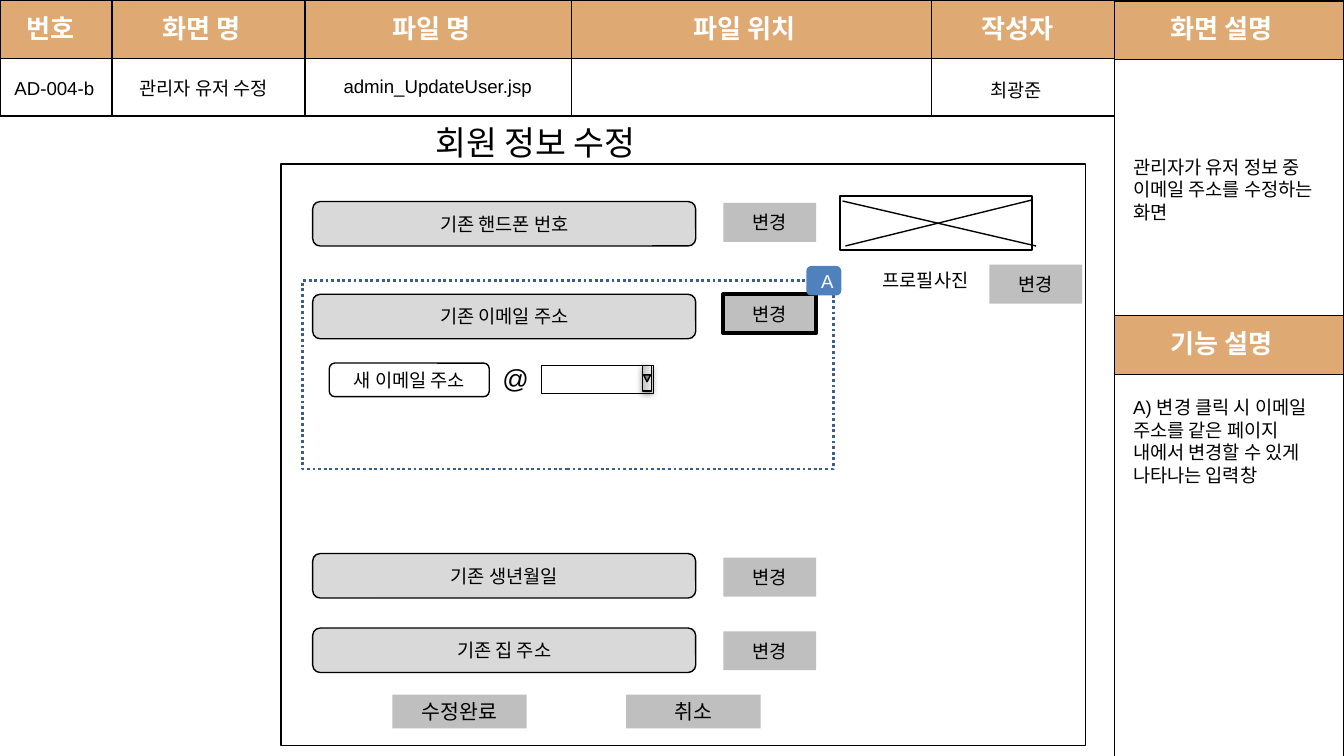
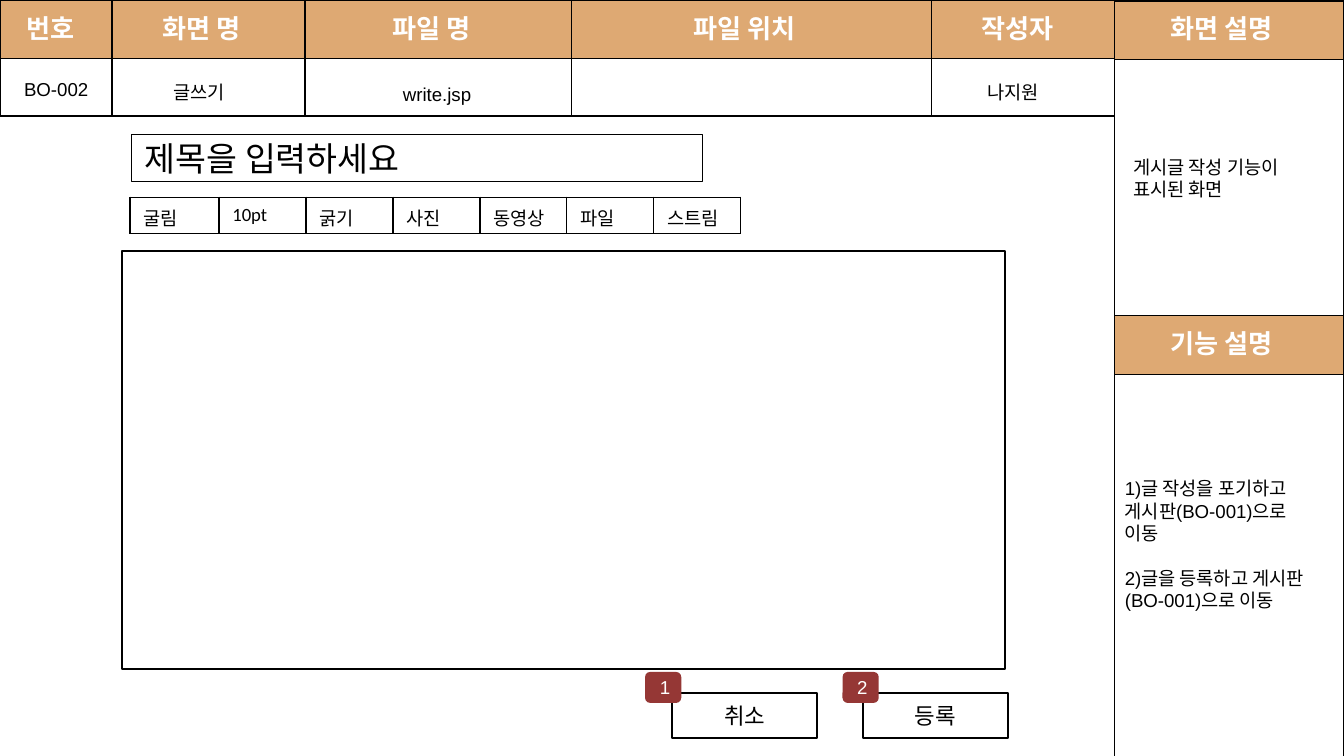
from lxml import etree
from pptx import Presentation
from pptx.dml.color import RGBColor
from pptx.enum.dml import MSO_LINE
from pptx.enum.shapes import MSO_CONNECTOR, MSO_SHAPE
from pptx.enum.text import MSO_ANCHOR, MSO_AUTO_SIZE, PP_ALIGN
from pptx.oxml import parse_xml
from pptx.oxml.ns import qn
from pptx.util import Pt

RECT = MSO_SHAPE.RECTANGLE
ROUND = MSO_SHAPE.ROUNDED_RECTANGLE
NEXT_BUTTON = MSO_SHAPE.ACTION_BUTTON_FORWARD_OR_NEXT
STRAIGHT = MSO_CONNECTOR.STRAIGHT
DOTTED = MSO_LINE.ROUND_DOT
LEFT, CENTER = PP_ALIGN.LEFT, PP_ALIGN.CENTER
TOP, MIDDLE = MSO_ANCHOR.TOP, MSO_ANCHOR.MIDDLE
GROW = MSO_AUTO_SIZE.SHAPE_TO_FIT_TEXT

COLORS = {
    "black": "000000", "white": "FFFFFF", "band": "DEA973",
    "field": "D9D9D9", "button": "BFBFBF", "dotted": "3A5F8C",
    "blue": "4F81BD", "red": "953735",
}
W, H = 720, 405
SIDE_X = 597
BAND_H = 31.3
HEAD_H = 62.2
FUNCTION_Y = 169.2
COLUMNS = [0, 60, 163.5, 306, 499, SIDE_X]
HEADINGS = [("번호", 14.4, 30.2), ("화면 명", 87.1, 48.2),
            ("파일 명", 210.2, 48.2), ("작성자", 525.6, 44)]
HEADER = {"size": 14, "font": "Noto Sans CJK KR", "color": "white", "bold": True}
NOTE = {"size": 10, "font": "Arial", "color": "black"}
LABEL = {"size": 10, "font": "Calibri", "color": "black"}
BIG = {**LABEL, "size": 18}
BADGE = {**NOTE, "color": "white"}
A_NS = "http://schemas.openxmlformats.org/drawingml/2006/main"
GRADIENT = (f'<a:gradFill xmlns:a="{A_NS}" rotWithShape="1"><a:gsLst>'
            '<a:gs pos="0"><a:srgbClr val="BDBDBD"/></a:gs>'
            '<a:gs pos="35000"><a:srgbClr val="D1D1D1"/></a:gs>'
            '<a:gs pos="100000"><a:srgbClr val="EEEEEE"/></a:gs>'
            '</a:gsLst><a:lin ang="16200000" scaled="1"/></a:gradFill>')
SHADOW = (f'<a:effectLst xmlns:a="{A_NS}">'
          '<a:outerShdw blurRad="40000" dist="20000" dir="5400000" rotWithShape="0">'
          '<a:srgbClr val="000000"><a:alpha val="38000"/></a:srgbClr>'
          '</a:outerShdw></a:effectLst>')


def rgb(name):
    return RGBColor.from_string(COLORS[name])


def pts(*values):
    return [Pt(v) for v in values]


def write(tf, texts, fmt, align=LEFT, gap=0):
    for i, text in enumerate(texts):
        p = tf.paragraphs[0] if i == 0 else tf.add_paragraph()
        p.alignment = align
        if i:
            p.space_before = Pt(gap)
        r = p.add_run()
        r.text = text
        values = {"size": Pt(fmt["size"]), "name": fmt["font"],
                  "bold": fmt.get("bold", False)}
        for key, value in values.items():
            setattr(r.font, key, value)
        r.font.color.rgb = rgb(fmt["color"])


def set_frame(tf, insets=None, anchor=TOP, grow=False):
    tf.word_wrap = True
    tf.vertical_anchor = anchor
    if grow:
        tf.auto_size = GROW
    if insets:
        for side, value in zip(("left", "top", "right", "bottom"), insets):
            setattr(tf, "margin_" + side, Pt(value))


def paint(sp, fill=None, line=None, weight=0.75):
    sp.shadow.inherit = False
    if fill:
        sp.fill.solid()
        sp.fill.fore_color.rgb = rgb(fill)
    else:
        sp.fill.background()
    if line:
        sp.line.color.rgb = rgb(line)
        sp.line.width = Pt(weight)
    else:
        sp.line.fill.background()


def add_box(s, kind, x, y, w, h, fill=None, line=None, weight=0.75,
            text=None, fmt=LABEL, align=CENTER):
    sp = s.shapes.add_shape(kind, *pts(x, y, w, h))
    paint(sp, fill, line, weight)
    if text:
        set_frame(sp.text_frame, anchor=MIDDLE)
        write(sp.text_frame, [text], fmt, align)
    return sp


def add_text(s, x, y, w, h, texts, fmt=NOTE, insets=None, gap=0):
    tf = s.shapes.add_textbox(*pts(x, y, w, h)).text_frame
    set_frame(tf, insets, grow=True)
    write(tf, texts, fmt, gap=gap)


def add_outline(s, contours, close=False, **look):
    builder = None
    for contour in contours:
        first, *rest = [tuple(pts(*point)) for point in contour]
        if builder is None:
            builder = s.shapes.build_freeform(*first)
        else:
            builder.move_to(*first)
        builder.add_line_segments(rest, close=close)
    paint(builder.convert_to_shape(), **look)


def add_line(s, x1, y1, x2, y2):
    c = s.shapes.add_connector(STRAIGHT, *pts(x1, y1, x2, y2))
    c.line.color.rgb = rgb("black")
    c.line.width = Pt(0.75)
    etree.SubElement(c.element.spPr, qn("a:effectLst"))


def band(x, y, w):
    return [(x, y), (x + w, y), (x + w, y + BAND_H), (x, y + BAND_H)]


def add_header(s, title_w, cells):
    add_outline(s, [band(0, 0.5, SIDE_X)], True, fill="band")
    add_outline(s, [[(x, 0), (x, HEAD_H)] for x in COLUMNS], line="black")
    add_outline(s, [[(0, y), (SIDE_X, y)] for y in (0.4, BAND_H, HEAD_H)], line="black")
    for text, x, w in HEADINGS:
        add_text(s, x, 5.8, w, 16.6, [text], HEADER, (0, 1, 0, 0))
    title = s.shapes.title
    s.shapes.element.append(title.element)
    title.left, title.top, title.width, title.height = pts(286.6, 5.8, title_w, 16.6)
    set_frame(title.text_frame, (0, 1, 0, 0), grow=True)
    write(title.text_frame, ["파일 위치"], HEADER)
    pPr = title.text_frame.paragraphs[0]._p.get_or_add_pPr()
    pPr.set("marL", str(Pt(85)))
    pPr.set("indent", "0")
    for text, x, y, w in cells:
        add_text(s, x, y, w, 19.4, [text])


def add_sidebar(s, summary, notes, notes_box):
    w = W - SIDE_X
    tops = (0.5, FUNCTION_Y)
    add_outline(s, [band(SIDE_X, y, w) for y in tops], True, fill="band")
    rules = [y + d for y in tops for d in (0, BAND_H)]
    add_outline(s, [[(SIDE_X, y), (W, y)] for y in rules]
                + [[(x, 0), (x, H)] for x in (SIDE_X, W - 0.3)], line="black")
    for text, y in zip(("화면 설명", "기능 설명"), tops):
        add_text(s, 627, y + 5.4, 62.6, 16.6, [text], HEADER, (0, 1, 0, 0))
    add_text(s, 600, 80, 120, 44, [summary])
    add_text(s, *notes_box, notes, gap=12)


def add_change_button(s, x, y, line=None):
    add_box(s, RECT, x, y, 49.7, 20.9, "button", line, 2, "변경")


def add_email_section(s, x, y):
    add_box(s, ROUND, x + 14.4, y + 44, 85.7, 18, None, "black", text="새 이메일 주소")
    add_text(s, x + 100, y + 40.3, 30.2, 24.5, ["@"], {**NOTE, "size": 14})
    add_box(s, RECT, x + 128.2, y + 45.3, 59.8, 15.1, "white", "black")
    arrow = add_box(s, NEXT_BUTTON, x + 177.8, y + 49.7, 13.7, 5, "white", "black")
    arrow.rotation = 90
    spPr = arrow.element.spPr
    for tag, xml in (("a:solidFill", GRADIENT), ("a:effectLst", SHADOW)):
        spPr.replace(spPr.find(qn(tag)), parse_xml(xml))
    area = add_box(s, RECT, x, y, 284.4, 100.8, None, "dotted", 1.5)
    area.line.dash_style = DOTTED
    add_box(s, ROUND, x + 270, y - 8, 18.7, 15.8, "blue", text="A", fmt=BADGE)


def add_profile(s, x, y):
    add_text(s, x + 15.8, y + 35.3, 108.7, 19.4, ["프로필사진"], LABEL)
    add_box(s, RECT, x, y, 103, 28.8, "white", "black")
    add_line(s, x + 105, y + 26.7, x + 1.4, y + 2.6)
    add_line(s, x + 2.9, y + 26.7, x + 103, y + 2)
    add_change_button(s, x + 80, y + 36.7)


def add_user_form(s, x, y, w, h):
    add_box(s, RECT, x, y, w, h, None, "black")
    add_text(s, x + 75.6, y - 26, 149, 28.8, ["회원 정보 수정"], BIG)
    rows = [("기존 핸드폰 번호", 20.2, 20.9, None), ("기존 이메일 주소", 69.9, 69.9, "black"),
            ("기존 생년월일", 208.8, 211, None), ("기존 집 주소", 248.7, 250.4, None)]
    for text, field_y, button_y, line in rows:
        add_box(s, ROUND, x + 17, y + field_y, 205.2, 23.8, "field", "black", text=text)
        add_change_button(s, x + 237, y + button_y, line)
    for text, dx in (("수정완료", 59.7), ("취소", 185)):
        add_box(s, RECT, x + dx, y + 284.4, 72, 18, "button",
                text=text, fmt={**LABEL, "size": 11})
    add_email_section(s, x + 11.5, y + 62.7)
    add_profile(s, x + 299.5, y + 17.3)


def add_toolbar(s, x, y, labels):
    widths = [47.5] + [46.6] * (len(labels) - 1)
    frame = s.shapes.add_table(1, len(labels), *pts(x, y, sum(widths), 19.4))
    table = frame.table
    table.first_row = table.horz_banding = False
    table.rows[0].height = Pt(19.4)
    for i, (text, w) in enumerate(zip(labels, widths)):
        table.columns[i].width = Pt(w)
        cell = table.cell(0, i)
        tcPr = cell._tc.get_or_add_tcPr()
        for side in "LRTB":
            ln = etree.SubElement(tcPr, qn("a:ln" + side), w=str(Pt(1)))
            solid = etree.SubElement(ln, qn("a:solidFill"))
            etree.SubElement(solid, qn("a:srgbClr"), val=COLORS["black"])
        cell.fill.solid()
        cell.fill.fore_color.rgb = rgb("white")
        write(cell.text_frame, [text], LABEL)


def add_editor(s, x, y, w, h):
    add_box(s, RECT, x + 5, y, 306, 25.2, "white", "black",
            text="제목을 입력하세요", fmt=BIG, align=LEFT)
    add_box(s, RECT, x, y + 62.6, w, h - 62.6, "white", "black", 1)
    add_toolbar(s, x + 4.3, y + 33.8,
                ["굴림", "10pt", "굵기", "사진", "동영상", "파일", "스트림"])
    buttons = [("1", "취소", 294.5, 14.4), ("2", "등록", 396.7, 10.8)]
    for number, text, dx, shift in buttons:
        add_box(s, RECT, x + dx, y + 299.5, 77.8, 23.8, "white", "black", 1,
                text, {**LABEL, "size": 12})
        add_box(s, ROUND, x + dx - shift, y + 288, 19.4, 16.6, "red",
                text=number, fmt=BADGE)


def add_update_slide(prs):
    s = prs.slides.add_slide(prs.slide_layouts[5])
    add_header(s, 175, [("AD-004-b", 0.7, 37.4, 60.5), ("관리자 유저 수정", 67.7, 37.4, 102.2),
                        ("admin_UpdateUser.jsp", 177, 36.7, 115.2), ("최광준", 523.4, 38.9, 72)])
    add_sidebar(s, "관리자가 유저 정보 중 이메일 주소를 수정하는 화면",
                ["A) 변경 클릭 시 이메일 주소를 같은 페이지 내에서 변경할 수 있게 나타나는 입력창"],
                (600, 208.8, 108, 67.7))
    add_user_form(s, 150.5, 87.8, 431, 311.8)


def add_write_slide(prs):
    s = prs.slides.add_slide(prs.slide_layouts[5])
    add_header(s, 189.4, [("BO-002", 5.8, 38.2, 54), ("글쓰기", 85.7, 39.6, 102.2),
                          ("write.jsp", 208.8, 41, 120.2), ("나지원", 522, 39.6, 72)])
    add_sidebar(s, "게시글 작성 기능이 표시된 화면",
                ["1)글 작성을 포기하고 게시판(BO-001)으로 이동",
                 "2)글을 등록하고 게시판(BO-001)으로 이동"],
                (595.5, 252, 118, 92.2))
    add_editor(s, 65.5, 72, 473, 286.5)


def main():
    prs = Presentation()
    prs.slide_width, prs.slide_height = pts(W, H)
    add_update_slide(prs)
    add_write_slide(prs)
    prs.save("out.pptx")


if __name__ == "__main__":
    main()
